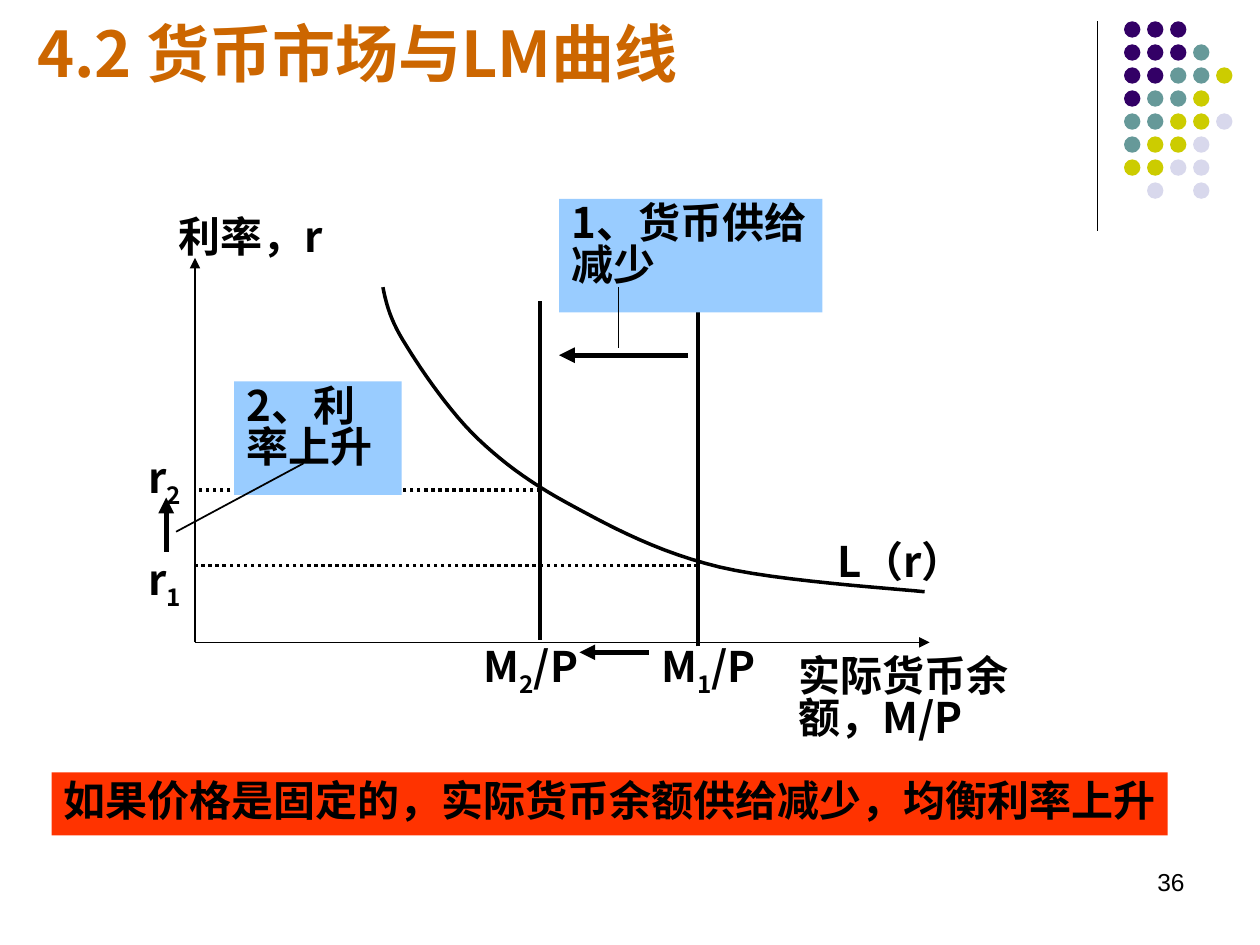
from lxml.etree import SubElement
from pptx import Presentation
from pptx.dml.color import RGBColor
from pptx.enum.dml import MSO_LINE
from pptx.enum.shapes import MSO_CONNECTOR, MSO_SHAPE
from pptx.enum.text import MSO_ANCHOR, PP_ALIGN
from pptx.oxml.ns import qn
from pptx.util import Cm, Pt

COLORS = {
    "text": "000000", "title": "CC6600", "callout": "99CCFF", "banner": "FF3300",
    "P": "330066", "T": "669999", "Y": "CCCC00", "L": "D8D8EC",
}
CJK = "Noto Sans CJK SC"
DOT_ROWS = ["PPP", "PPPT", "PPTTY", "PTTY", "TTYYL", "TYYL", "YYLL", " L L"]
CURVE_START = (4.98, 1.78)
CURVE_SEGMENTS = [
    ((5.05, 2.13), (5.13, 2.46), (5.46, 2.97)),
    ((5.77, 3.48), (6.35, 4.32), (6.91, 4.85)),
    ((7.47, 5.38), (8.05, 5.79), (8.86, 6.22)),
    ((9.65, 6.65), (10.59, 7.14), (11.76, 7.42)),
    ((12.93, 7.7), (15.21, 7.85), (15.9, 7.92)),
]


def rgb(name):
    return RGBColor.from_string(COLORS[name])


def add_text(s, text, x, y, w, h, size=24, color="text", bold=True, font=CJK,
             fill=None, align=PP_ALIGN.LEFT, anchor=MSO_ANCHOR.TOP, wrap=True):
    """Place text in a box; a character after "_" becomes a subscript."""
    box = Cm(x), Cm(y), Cm(w), Cm(h)
    if fill:
        sp = s.shapes.add_shape(MSO_SHAPE.RECTANGLE, *box)
        sp.shadow.inherit = False
        sp.fill.solid()
        sp.fill.fore_color.rgb = rgb(fill)
        sp.line.fill.background()
    else:
        sp = s.shapes.add_textbox(*box)
    tf = sp.text_frame
    tf.word_wrap = wrap
    tf.vertical_anchor = anchor
    p = tf.paragraphs[0]
    p.alignment = align
    if font == CJK:
        p.line_spacing = 0.83
    head, _, tail = text.partition("_")
    for part, baseline in ((head, None), (tail[:1], "-25000"), (tail[1:], None)):
        if not part:
            continue
        r = p.add_run()
        r.text = part
        r.font.size = Pt(size)
        r.font.bold = bold
        r.font.color.rgb = rgb(color)
        r.font.name = font
        rpr = r.font._element
        SubElement(rpr, qn("a:ea")).set("typeface", font)
        if baseline:
            rpr.set("baseline", baseline)
    return sp


def add_line(s, x1, y1, x2, y2, width=1, arrow=False, dotted=False):
    c = s.shapes.add_connector(MSO_CONNECTOR.STRAIGHT, Cm(x1), Cm(y1), Cm(x2), Cm(y2))
    c.line.color.rgb = rgb("text")
    c.line.width = Pt(width)
    if dotted:
        c.line.dash_style = MSO_LINE.ROUND_DOT
    if arrow:
        SubElement(c.line._get_or_add_ln(), qn("a:tailEnd")).set("type", "triangle")
    SubElement(c._element.spPr, qn("a:effectLst"))
    return c


def bezier_points(start, segments, steps=12):
    """Return points along a chain of cubic curves."""
    points = [start]
    for c1, c2, end in segments:
        begin = points[-1]
        for i in range(1, steps + 1):
            t = i / steps
            u = 1 - t
            points.append(tuple(
                u**3 * a + 3 * u * u * t * b + 3 * u * t * t * c + t**3 * d
                for a, b, c, d in zip(begin, c1, c2, end)))
    return points


def add_curve(s, x, y):
    points = [(Cm(x + px), Cm(y + py))
              for px, py in bezier_points(CURVE_START, CURVE_SEGMENTS)]
    builder = s.shapes.build_freeform(*points[0])
    builder.add_line_segments(points[1:], close=False)
    sp = builder.convert_to_shape()
    sp.shadow.inherit = False
    sp.fill.background()
    sp.line.color.rgb = rgb("text")
    sp.line.width = Pt(2)


def add_dot_pattern(s, x, y, pitch=0.464, size=0.33):
    add_line(s, x - 0.54, y, x - 0.54, y + 4.22, width=0.75)
    for row, keys in enumerate(DOT_ROWS):
        for col, key in enumerate(keys):
            if key == " ":
                continue
            sp = s.shapes.add_shape(MSO_SHAPE.OVAL, Cm(x + col * pitch),
                                    Cm(y + row * pitch), Cm(size), Cm(size))
            sp.shadow.inherit = False
            sp.fill.solid()
            sp.fill.fore_color.rgb = rgb(key)
            sp.line.fill.background()


def add_money_market(s, x, y):
    """Draw the money demand and supply diagram."""
    def line(x1, y1, x2, y2, **fmt):
        add_line(s, x + x1, y + y1, x + x2, y + y2, **fmt)

    def label(text, left, top, w, h, **fmt):
        add_text(s, text, x + left, y + top, w, h, **fmt)

    axis_x, axis_y = 1.19, 8.94
    supply_2, supply_1 = 8.15, 11.33
    rate_2, rate_1 = 5.87, 7.39

    line(axis_x, axis_y, axis_x, 1.19, arrow=True)
    line(axis_x, axis_y, 16, axis_y, arrow=True)
    add_curve(s, x, y)
    label("利率，r", 0.61, 0.28, 4.17, 1.27)
    label("实际货币余额，M/P", 13.11, 9.14, 5.31, 2.29)
    label("L（r）", 13.89, 6.83, 3.18, 2.29)

    line(supply_2, 8.89, supply_2, 2.06, width=2)
    line(supply_1, 9.02, supply_1, 2.06, width=2)
    line(supply_2, rate_2, axis_x, rate_2, width=2, dotted=True)
    line(supply_1, rate_1, axis_x, rate_1, width=2, dotted=True)
    for ends in ((11.13, 3.15, 8.53, 3.15), (0.61, 7.11, 0.61, 6.02),
                 (10.34, 9.14, 8.94, 9.14)):
        line(*ends, width=3, arrow=True)

    label("r_1", 0, 7.11, 1.57, 1.42)
    label("r_2", 0, 5.05, 1.57, 1.42)
    label("M_2/P", 6.76, 8.86, 2.77, 1.42)
    label("M_1/P", 10.34, 8.86, 2.77, 1.42)

    label("1、货币供给减少", 8.53, 0, 5.31, 2.29, fill="callout")
    line(9.73, 1.78, 9.73, 3)
    label("2、利率上升", 1.98, 3.68, 3.38, 2.29, fill="callout")
    line(3.38, 5.33, 0.81, 6.71)


def main():
    prs = Presentation()
    prs.slide_width, prs.slide_height = Cm(25.4), Cm(19.05)
    s = prs.slides.add_slide(prs.slide_layouts[6])
    add_dot_pattern(s, 22.66, 0.43)
    add_money_market(s, 2.74, 4.01)
    add_text(s, "4.2 货币市场与LM曲线", 0.5, 0.43, 14.38, 1.78,
             size=36, color="title", wrap=False)
    add_text(s, "如果价格是固定的，实际货币余额供给减少，均衡利率上升",
             1.04, 15.57, 22.5, 1.27, fill="banner", align=PP_ALIGN.CENTER,
             anchor=MSO_ANCHOR.MIDDLE, wrap=False)
    add_text(s, "36", 18.21, 17.35, 5.92, 1.32, size=14, bold=False,
             font="Arial", align=PP_ALIGN.RIGHT)
    prs.save("out.pptx")


if __name__ == "__main__":
    main()
